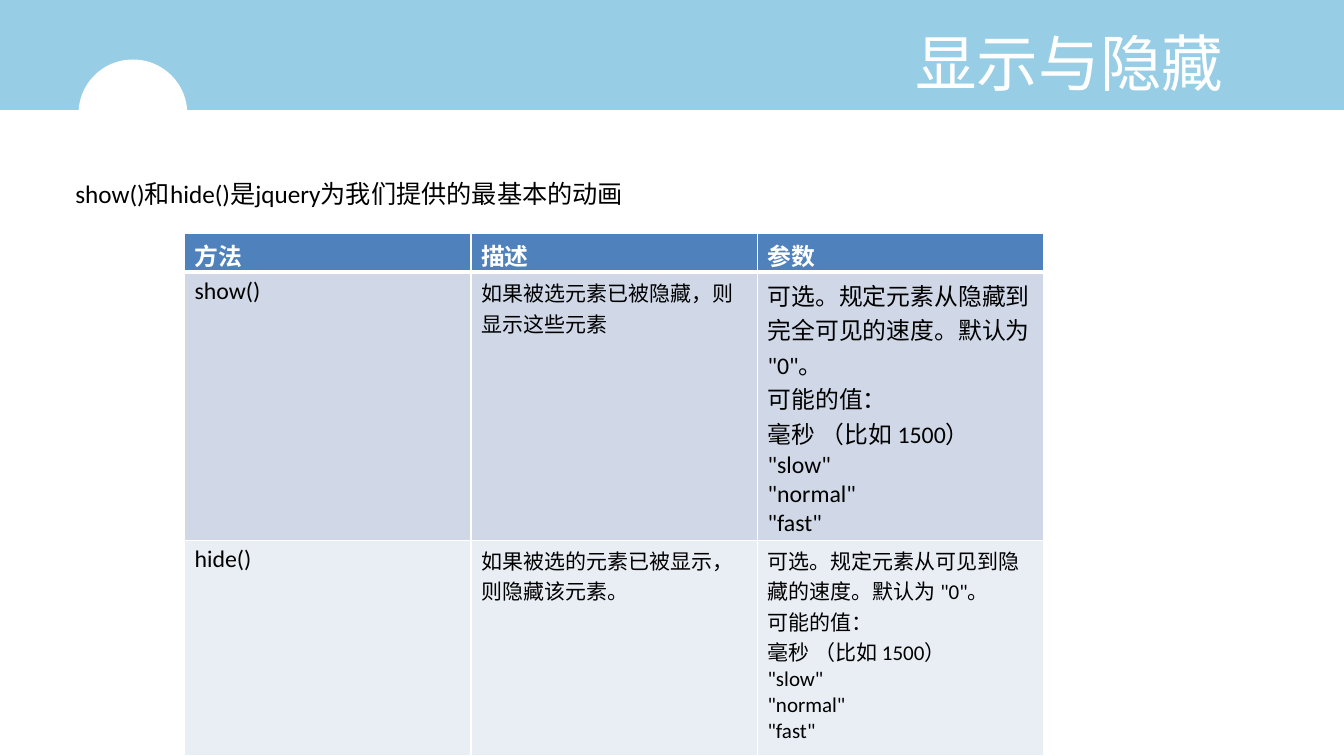
import pptx
import pptx.enum.shapes
import pptx.enum.text
import pptx.oxml.ns
import pptx.util
from lxml import etree
from pptx.dml.color import RGBColor
from pptx.util import Cm, Pt

FONT = "Calibri"
COLORS = {"band": "97CDE5", "white": "FFFFFF", "black": "000000",
          "header": "4F81BD", "show": "D0D8E8", "hide": "E9EDF4"}

TITLE = "显示与隐藏"
INTRO = "show()和hide()是jquery为我们提供的最基本的动画"
SPEED_VALUES = ["可能的值：", "毫秒 （比如 1500）", '"slow"', '"normal"', '"fast"']

# Each row: fill, height in cm, then (paragraphs, size) for every cell
METHOD_ROWS = [
    ("header", 0.99, [(["方法"], 17), (["描述"], 17), (["参数"], 17)]),
    ("show", 6.75, [
        (["show()"], 17),
        (["如果被选元素已被隐藏，则显示这些元素"], 15),
        (['可选。规定元素从隐藏到完全可见的速度。默认为 "0"。'] + SPEED_VALUES, 17)]),
    ("hide", 5.44, [
        (["hide()"], 17),
        (["如果被选的元素已被显示，则隐藏该元素。"], 15),
        (['可选。规定元素从可见到隐藏的速度。默认为 "0"。'] + SPEED_VALUES, 15)]),
]
COLUMN_WIDTH = 7.22


def rgb(name):
    """Return the named colour."""
    return RGBColor.from_string(COLORS[name])


def add_plain_shape(kind, box, color):
    """Add a filled shape without outline or shadow."""
    shape = slide.shapes.add_shape(kind, *map(Cm, box))
    shape.shadow.inherit = False
    shape.fill.solid()
    shape.fill.fore_color.rgb = rgb(color)
    shape.line.fill.background()


def write(frame, lines, size, color, bold=False, align=None):
    """Fill a text frame with one paragraph per line."""
    frame.word_wrap = True
    frame.text = "\n".join(lines)
    for paragraph in frame.paragraphs:
        paragraph.alignment = align
        paragraph.font.name = FONT
        paragraph.font.size = Pt(size)
        paragraph.font.bold = bold
        paragraph.font.color.rgb = rgb(color)


def add_text(box, text, size, color, anchor, align=None):
    """Add a text box holding a single line."""
    frame = slide.shapes.add_textbox(*map(Cm, box)).text_frame
    frame.vertical_anchor = anchor
    write(frame, [text], size, color, align=align)


def set_borders(cell, bottom_width):
    """Draw white 1 pt borders, with a chosen width below."""
    properties = cell._tc.get_or_add_tcPr()
    for side, width in (("L", 1), ("R", 1), ("T", 1), ("B", bottom_width)):
        line = etree.SubElement(properties, pptx.oxml.ns.qn("a:ln" + side), w=str(Pt(width)))
        fill = etree.SubElement(line, pptx.oxml.ns.qn("a:solidFill"))
        etree.SubElement(fill, pptx.oxml.ns.qn("a:srgbClr"), val=COLORS["white"])


def add_methods_table(left, top):
    """Add the table of methods, descriptions and parameters."""
    columns = len(METHOD_ROWS[0][2])
    height = sum(row[1] for row in METHOD_ROWS)
    table = slide.shapes.add_table(len(METHOD_ROWS), columns, Cm(left), Cm(top),
                                   Cm(COLUMN_WIDTH * columns), Cm(height)).table
    for column in table.columns:
        column.width = Cm(COLUMN_WIDTH)
    for r, (fill, row_height, cells) in enumerate(METHOD_ROWS):
        table.rows[r].height = Cm(row_height)
        is_header = fill == "header"
        for c, (lines, size) in enumerate(cells):
            cell = table.cell(r, c)
            # The rule under the header is shared with the row below it
            set_borders(cell, 3 if is_header else 1)
            if r == 1:
                cell._tc.tcPr.find(pptx.oxml.ns.qn("a:lnT")).set("w", str(Pt(3)))
            cell.fill.solid()
            cell.fill.fore_color.rgb = rgb(fill)
            write(cell.text_frame, lines, size, "white" if is_header else "black", is_header)


presentation = pptx.Presentation()
presentation.slide_width, presentation.slide_height = Cm(33.87), Cm(19.05)
slide = presentation.slides.add_slide(presentation.slide_layouts[6])

SHAPE = pptx.enum.shapes.MSO_SHAPE
ANCHOR = pptx.enum.text.MSO_ANCHOR
add_plain_shape(SHAPE.RECTANGLE, (0, 0, 33.87, 2.77), "band")
add_plain_shape(SHAPE.OVAL, (1.98, 1.5, 2.74, 2.72), "white")
add_text((21.72, 0.28, 10.46, 2.54), TITLE, 44, "white", ANCHOR.MIDDLE,
         pptx.enum.text.PP_ALIGN.CENTER)
add_text((1.65, 4.37, 30.15, 1.02), INTRO, 18, "black", ANCHOR.TOP)
add_methods_table(4.65, 5.87)

presentation.save("out.pptx")
